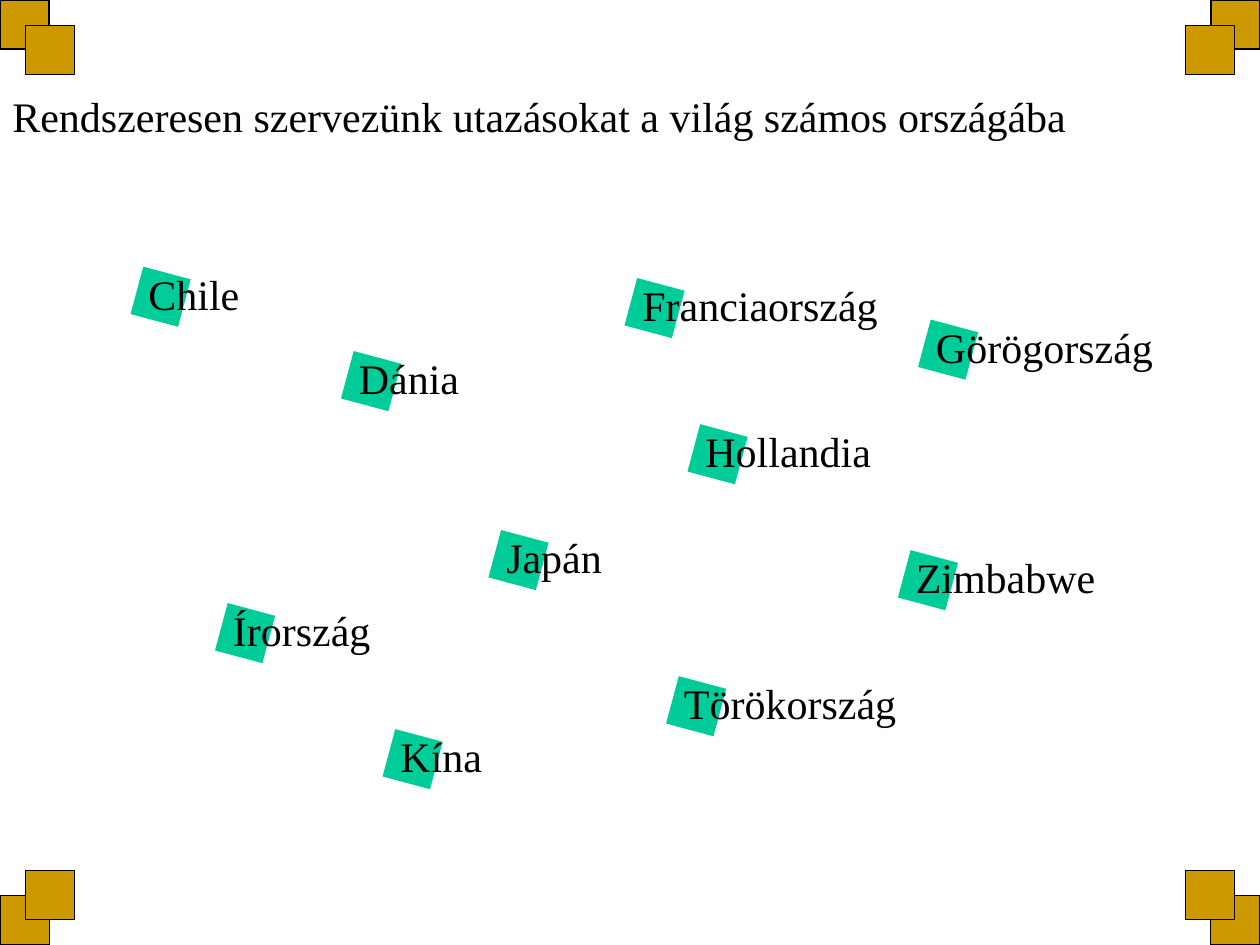
from pptx import Presentation
from pptx.dml.color import RGBColor
from pptx.enum.shapes import MSO_SHAPE as Shape
from pptx.enum.text import MSO_AUTO_SIZE as AutoSize
from pptx.util import Inches, Pt

COLORS = {"gold": "CC9900", "green": "00CC99", "black": "000000"}
FONT = "Times New Roman"
WIDTH, HEIGHT = 10, 7.5
SQUARE = 0.39
CORNER_STEP = 0.2
LABEL_HEIGHT = 0.5
MARKER_DROP = 0.08

COUNTRIES = [
    ("Dánia", 2.75, 2.75, 1),
    ("Franciaország", 5, 2.17, 2.07),
    ("Írország", 1.75, 4.75, 1.29),
    ("Japán", 3.92, 4.17, 0.96),
    ("Hollandia", 5.5, 3.33, 1.53),
    ("Kína", 3.08, 5.75, 0.85),
    ("Törökország", 5.33, 5.33, 1.89),
    ("Zimbabwe", 7.17, 4.33, 1.64),
    ("Chile", 1.08, 2.08, 0.92),
    ("Görögország", 7.33, 2.5, 1.92),
]


def rgb(name):
    return RGBColor.from_string(COLORS[name])


def add_square(slide, left, top, fill, rotation=0, outline=None):
    square = slide.shapes.add_shape(
        Shape.RECTANGLE, Inches(left), Inches(top), Inches(SQUARE), Inches(SQUARE))
    square.rotation = rotation
    square.shadow.inherit = False
    square.fill.solid()
    square.fill.fore_color.rgb = rgb(fill)
    if outline:
        square.line.color.rgb = rgb(outline)
        square.line.width = Pt(0.75)
    else:
        square.line.fill.background()


def add_label(slide, text, left, top, width, wrap=False):
    label = slide.shapes.add_textbox(
        Inches(left), Inches(top), Inches(width), Inches(LABEL_HEIGHT))
    frame = label.text_frame
    frame.text = text
    frame.word_wrap = wrap
    frame.auto_size = AutoSize.SHAPE_TO_FIT_TEXT
    font = frame.paragraphs[0].runs[0].font
    font.name = FONT
    font.size = Pt(24)
    font.color.rgb = rgb("black")


def add_corner(slide, at_right, at_bottom):
    rotation = 90 if at_right != at_bottom else 0
    for inset in (0, CORNER_STEP):
        left = WIDTH - SQUARE - inset if at_right else inset
        top = HEIGHT - SQUARE - inset if at_bottom else inset
        add_square(slide, left, top, "gold", rotation, "black")


def add_country(slide, name, left, top, width):
    add_square(slide, left, top + MARKER_DROP, "green", rotation=15)
    add_label(slide, name, left, top, width)


def main():
    deck = Presentation()
    deck.slide_width, deck.slide_height = Inches(WIDTH), Inches(HEIGHT)
    slide = deck.slides.add_slide(deck.slide_layouts[6])
    for at_right in (False, True):
        for at_bottom in (False, True):
            add_corner(slide, at_right, at_bottom)
    add_label(slide, "Rendszeresen szervezünk utazásokat a világ számos országába",
              0, 0.67, WIDTH, wrap=True)
    for country in COUNTRIES:
        add_country(slide, *country)
    deck.save("out.pptx")


if __name__ == "__main__":
    main()
